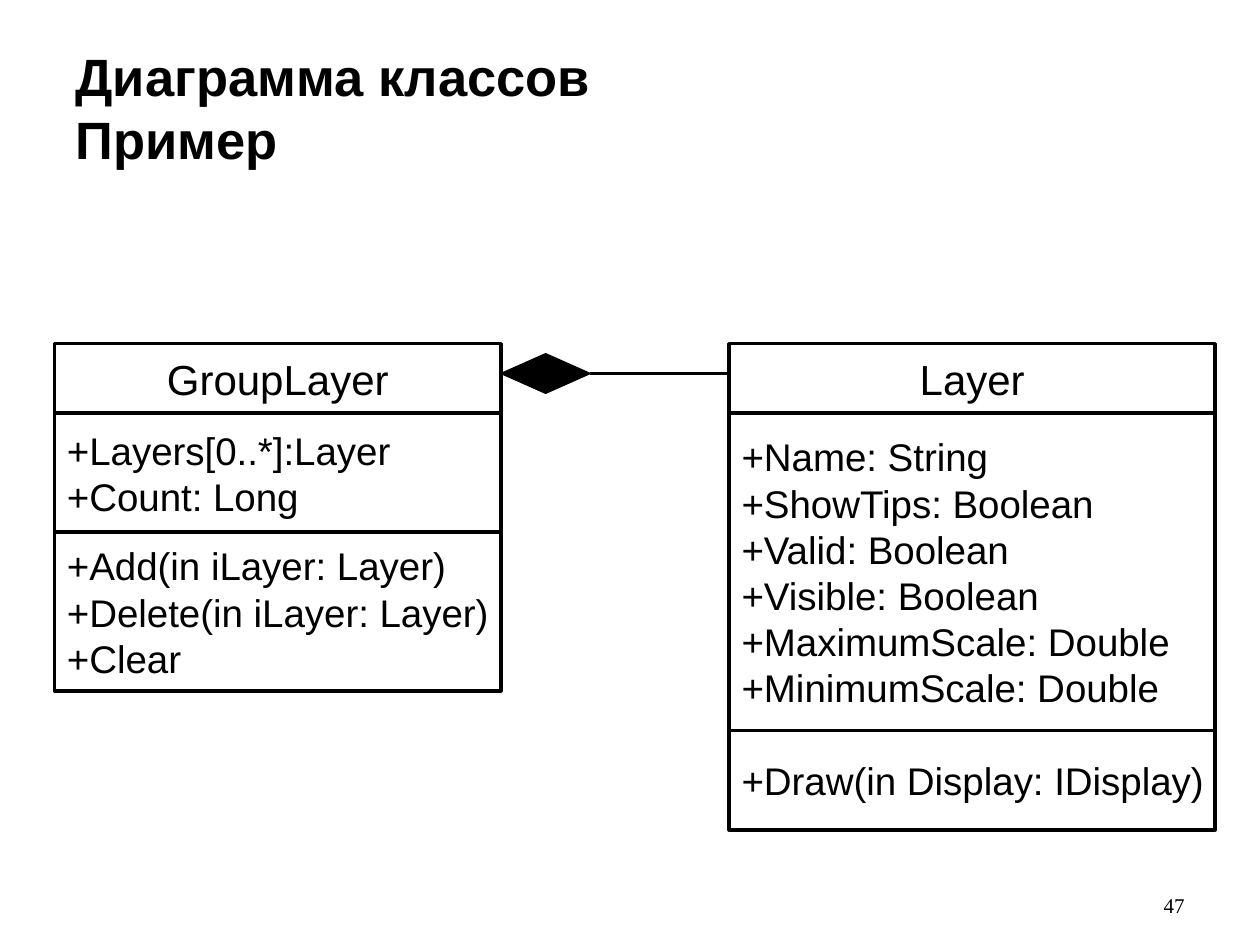
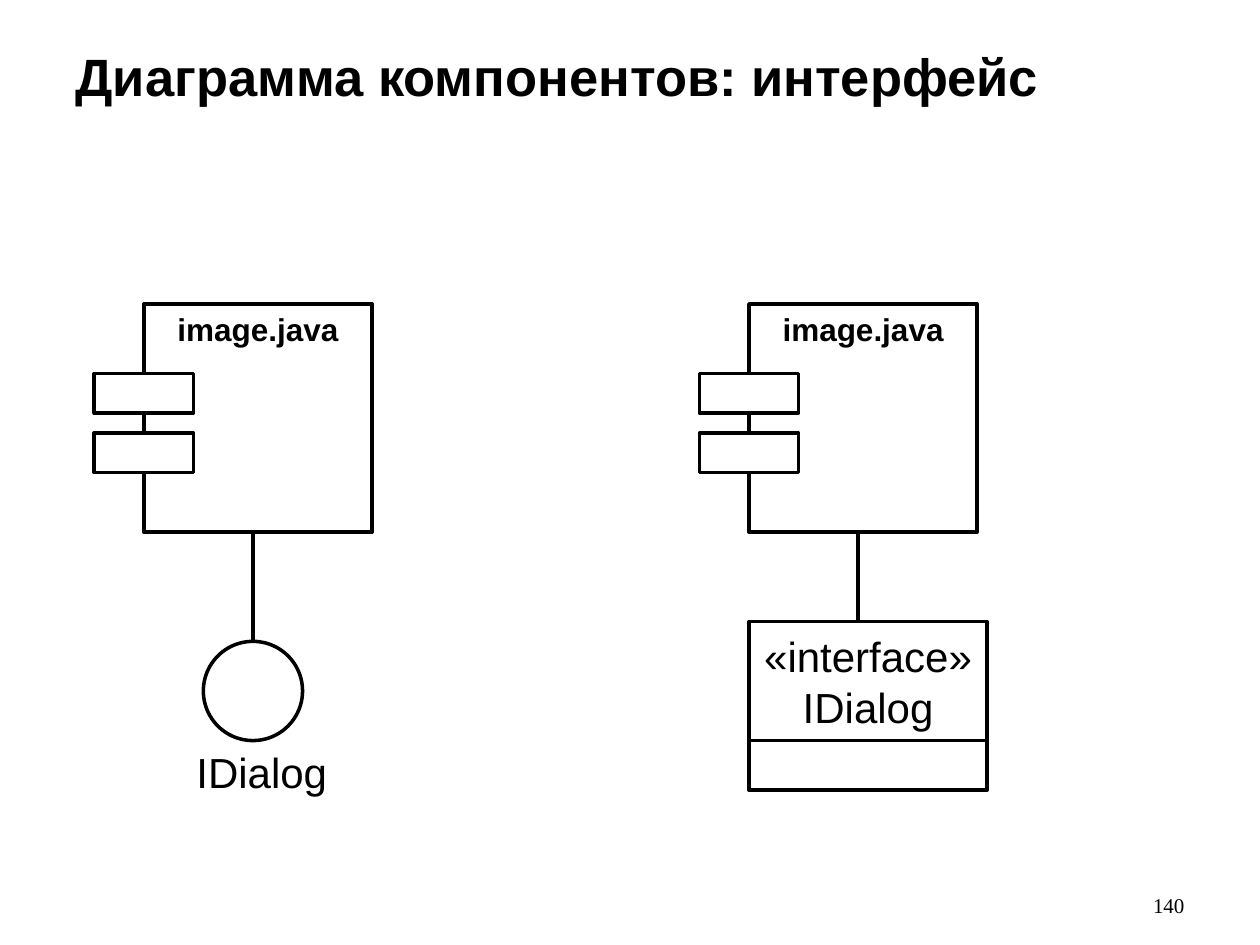
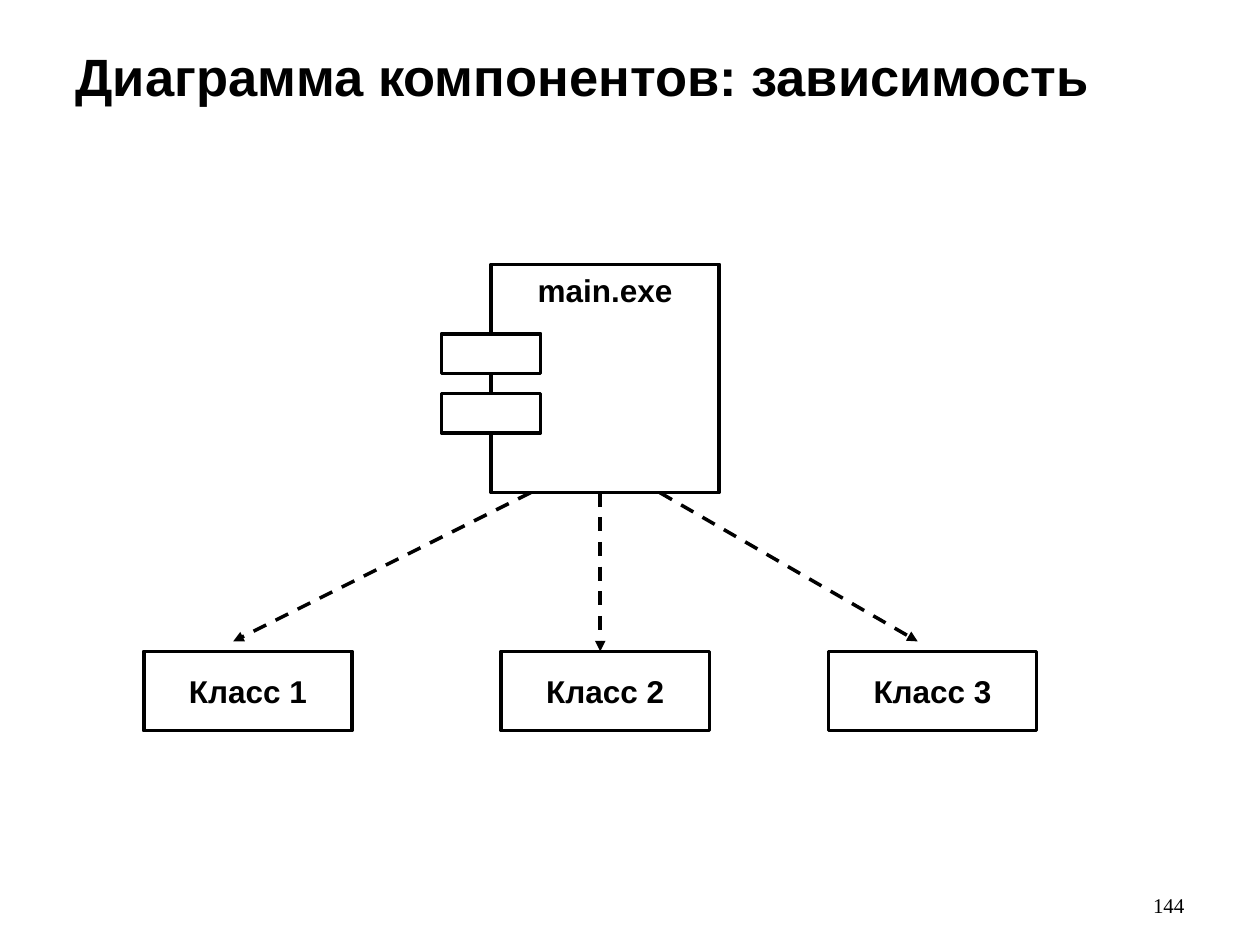
"""Build three slides with UML class and component diagrams."""
import pptx
import pptx.dml.color
import pptx.enum.dml
import pptx.enum.shapes
import pptx.enum.text
import pptx.oxml
import pptx.oxml.ns
import pptx.util

Cm = pptx.util.Cm
Pt = pptx.util.Pt
Align = pptx.enum.text.PP_ALIGN
Anchor = pptx.enum.text.MSO_ANCHOR
AutoSize = pptx.enum.text.MSO_AUTO_SIZE
Shape = pptx.enum.shapes.MSO_SHAPE

COLORS = {"ink": "000000", "paper": "FFFFFF"}
COMPONENT_SIZE = 4.6


class Deck:
    def __init__(self):
        self.presentation = pptx.Presentation()
        self.presentation.slide_width = Cm(25.4)
        self.presentation.slide_height = Cm(19.05)
        self.slide = None

    def color(self, name):
        return pptx.dml.color.RGBColor.from_string(COLORS[name])

    def set_text(self, shape, text, size, bold=False, align=Align.LEFT,
                 anchor=Anchor.TOP, wrap=False, font="Arial"):
        frame = shape.text_frame
        frame.text = text
        frame.auto_size = AutoSize.NONE
        frame.word_wrap = wrap
        frame.vertical_anchor = anchor
        for paragraph in frame.paragraphs:
            paragraph.alignment = align
            for run in paragraph.runs:
                run.font.name = font
                run.font.size = Pt(size)
                run.font.bold = bold
                run.font.color.rgb = self.color("ink")

    def add_slide(self, title, number):
        layout = self.presentation.slide_layouts[5]
        self.slide = self.presentation.slides.add_slide(layout)
        heading = self.slide.shapes.title
        heading.left, heading.top = Cm(1.27), Cm(0.76)
        heading.width, heading.height = Cm(22.86), Cm(3.18)
        self.set_text(heading, title, 30, bold=True, wrap=True)
        self.add_label(number, 22.7, 17.35, 1.43, 1.27, size=12, align=Align.RIGHT,
                       anchor=Anchor.BOTTOM, wrap=True, font="Times New Roman")

    def add_label(self, text, left, top, width, height, **style):
        label = self.slide.shapes.add_textbox(Cm(left), Cm(top), Cm(width), Cm(height))
        self.set_text(label, text, **style)

    def add_figure(self, left, top, width, height, kind=Shape.RECTANGLE,
                   fill=None, line_width=2):
        shape = self.slide.shapes.add_shape(kind, Cm(left), Cm(top), Cm(width), Cm(height))
        shape.shadow.inherit = False
        if fill:
            shape.fill.solid()
            shape.fill.fore_color.rgb = self.color(fill)
        else:
            shape.fill.background()
        shape.line.color.rgb = self.color("ink")
        shape.line.width = Pt(line_width)
        return shape

    def add_class(self, name, left, top, width, sections):
        header_height = 1.4
        header = self.add_figure(left, top, width, header_height)
        self.set_text(header, name, 24, align=Align.CENTER, anchor=Anchor.MIDDLE)
        top += header_height
        for height, members in sections:
            section = self.add_figure(left, top, width, height)
            self.set_text(section, "\n".join(members), 22, anchor=Anchor.MIDDLE)
            top += height

    def add_component(self, name, left, top):
        body = self.add_figure(left, top, COMPONENT_SIZE, COMPONENT_SIZE)
        self.set_text(body, name, 18, bold=True, align=Align.CENTER)
        for row in range(2):
            self.add_figure(left - 1, top + 1.4 + 1.2 * row, 2, 0.8, fill="paper")

    def add_line(self, start_x, start_y, end_x, end_y, dependency=False):
        connector = self.slide.shapes.add_connector(
            pptx.enum.shapes.MSO_CONNECTOR.STRAIGHT,
            Cm(start_x), Cm(start_y), Cm(end_x), Cm(end_y))
        connector.line.color.rgb = self.color("ink")
        connector.line.width = Pt(2)
        properties = connector._element.spPr
        if dependency:
            connector.line.dash_style = pptx.enum.dml.MSO_LINE.DASH
            outline = properties.find(pptx.oxml.ns.qn("a:ln"))
            outline.append(pptx.oxml.parse_xml(
                f'<a:tailEnd {pptx.oxml.ns.nsdecls("a")} type="triangle"/>'))
        properties.append(pptx.oxml.parse_xml(
            f'<a:effectLst {pptx.oxml.ns.nsdecls("a")}/>'))


def build_class_diagram(deck):
    deck.add_slide("Диаграмма классов\vПример", "47")
    top = 6.93
    deck.add_class("Layer", 14.7, top, 9.8, [
        (6.4, ["+Name: String", "+ShowTips: Boolean", "+Valid: Boolean",
               "+Visible: Boolean", "+MaximumScale: Double", "+MinimumScale: Double"]),
        (2, ["+Draw(in Display: IDisplay)"]),
    ])
    deck.add_class("GroupLayer", 1.1, top, 9, [
        (2.4, ["+Layers[0..*]:Layer", "+Count: Long"]),
        (3.2, ["+Add(in iLayer: Layer)", "+Delete(in iLayer: Layer)", "+Clear"]),
    ])
    deck.add_figure(10.1, top + 0.2, 1.8, 0.8, Shape.DIAMOND, fill="ink", line_width=0.75)
    deck.add_line(11.9, top + 0.6, 14.7, top + 0.6)


def build_interface_diagram(deck):
    deck.add_slide("Диаграмма компонентов: интерфейс", "140")
    top = 6.13
    bottom = top + COMPONENT_SIZE
    circle_top, interface_top = 12.93, 12.53
    for left, end_y in ((2.9, circle_top), (15.1, interface_top)):
        deck.add_component("image.java", left, top)
        deck.add_line(left + 2.2, bottom, left + 2.2, end_y)
    deck.add_figure(4.1, circle_top, 2, 2, Shape.OVAL)
    deck.add_label("IDialog", 3.71, circle_top + 2, 3.15, 1.27, size=24)
    interface = deck.add_figure(15.1, interface_top, 4.8, 2.4)
    deck.set_text(interface, "«interface»\nIDialog", 24, align=Align.CENTER,
                  anchor=Anchor.MIDDLE)
    deck.add_figure(15.1, interface_top + 2.4, 4.8, 1)


def build_dependency_diagram(deck):
    deck.add_slide("Диаграмма компонентов: зависимость", "144")
    top = 5.33
    bottom = top + COMPONENT_SIZE
    deck.add_component("main.exe", 9.9, top)
    for start_x, end_x, end_y in ((10.7, 4.7, 12.93), (12.1, 12.1, 13.13),
                                  (13.3, 18.5, 12.93)):
        deck.add_line(start_x, bottom, end_x, end_y, dependency=True)
    for number, left in enumerate((2.9, 10.1, 16.7), start=1):
        box = deck.add_figure(left, 13.13, 4.2, 1.6)
        deck.set_text(box, f"Класс {number}", 18, bold=True, align=Align.CENTER,
                      anchor=Anchor.MIDDLE)


def main():
    deck = Deck()
    build_class_diagram(deck)
    build_interface_diagram(deck)
    build_dependency_diagram(deck)
    deck.presentation.save("out.pptx")


if __name__ == "__main__":
    main()
